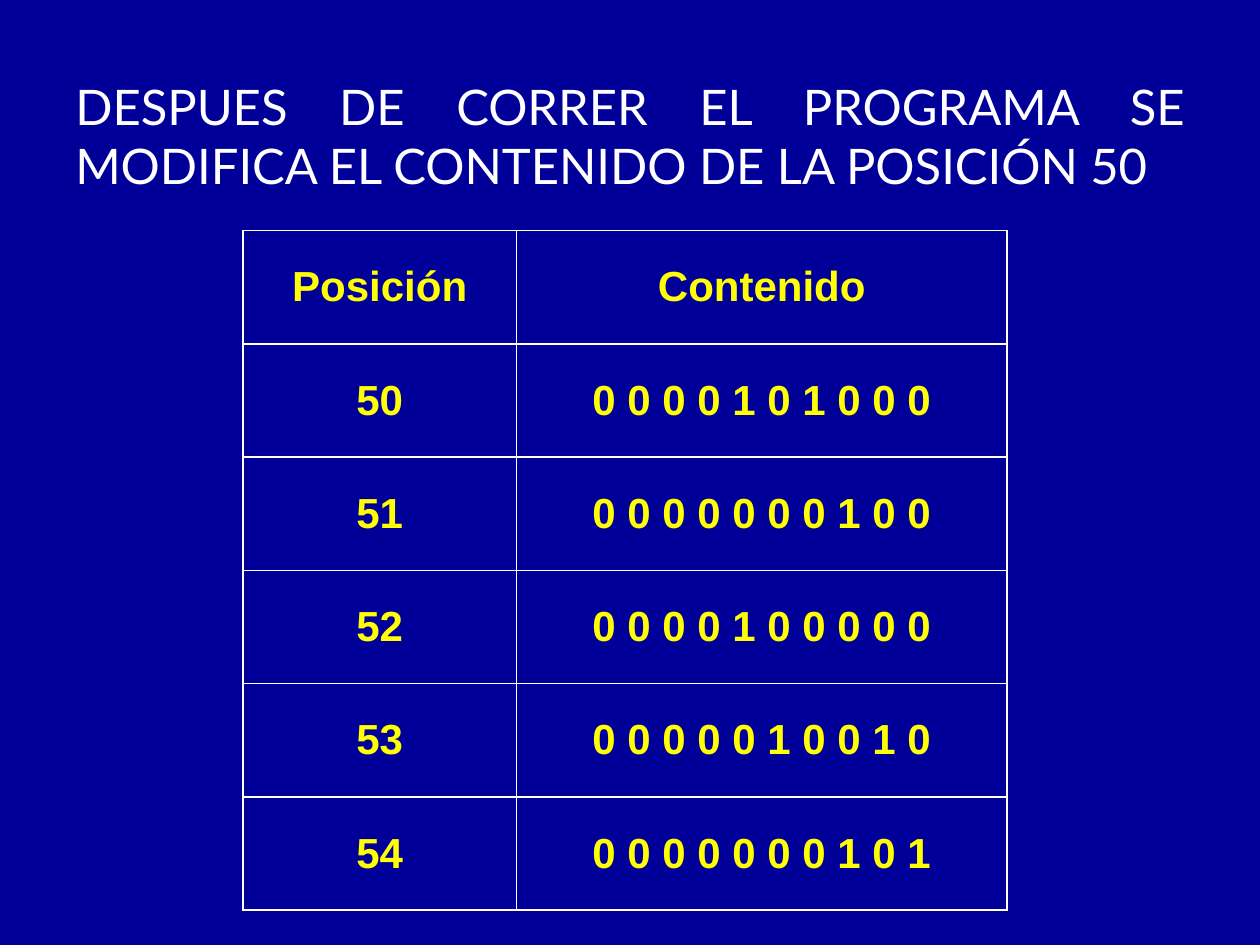
from lxml import etree
from pptx import Presentation
from pptx import util as u
from pptx.dml.color import RGBColor
from pptx.enum import text
from pptx.oxml.ns import qn

NAVY, WHITE, GOLD = "000099", "FFFFFF", "FFFF00"
TITLE = "DESPUES DE CORRER EL PROGRAMA SE MODIFICA EL CONTENIDO DE LA POSICIÓN 50"
ROWS = [
    ("Posición", "Contenido"),
    ("50", "0 0 0 0 1 0 1 0 0 0"),
    ("51", "0 0 0 0 0 0 0 1 0 0"),
    ("52", "0 0 0 0 1 0 0 0 0 0"),
    ("53", "0 0 0 0 0 1 0 0 1 0"),
    ("54", "0 0 0 0 0 0 0 1 0 1"),
]


def paint(fill, color):
    fill.solid()
    fill.fore_color.rgb = RGBColor.from_string(color)


def write(frame, words, font="Arial", size=24, color=GOLD, bold=False, align="CENTER"):
    frame.word_wrap = True
    frame.vertical_anchor = text.MSO_ANCHOR.MIDDLE
    para = frame.paragraphs[0]
    para.alignment = text.PP_ALIGN[align]
    run = para.add_run()
    run.text = words
    run.font.name = font
    run.font.size = u.Pt(size)
    run.font.bold = bold
    run.font.color.rgb = RGBColor.from_string(color)


def border(cell, color, width):
    props = cell._tc.get_or_add_tcPr()
    for i, side in enumerate(("a:lnL", "a:lnR", "a:lnT", "a:lnB")):
        line = etree.Element(qn(side), w=str(u.Pt(width)))
        fill = etree.SubElement(line, qn("a:solidFill"))
        etree.SubElement(fill, qn("a:srgbClr"), val=color)
        props.insert(i, line)


def header(slide, left, top, width, height):
    box = slide.shapes.add_textbox(u.Cm(left), u.Cm(top), u.Cm(width), u.Cm(height))
    write(box.text_frame, TITLE, font="Lato", size=28, color=WHITE, align="JUSTIFY")


def memory(slide, left, top, width, height):
    frame = slide.shapes.add_table(
        len(ROWS), 2, u.Cm(left), u.Cm(top), u.Cm(width), u.Cm(height)
    )
    grid = frame.table
    first = round(width * 0.358, 2)
    for col, size in zip(grid.columns, (first, width - first)):
        col.width = u.Cm(size)
    for r, row in enumerate(ROWS):
        for c, words in enumerate(row):
            cell = grid.cell(r, c)
            paint(cell.fill, NAVY)
            border(cell, WHITE, 1)
            write(cell.text_frame, words, bold=True)
            cell.vertical_anchor = text.MSO_ANCHOR.MIDDLE


def main():
    deck = Presentation()
    deck.slide_width, deck.slide_height = u.Cm(25.4), u.Cm(19.05)
    slide = deck.slides.add_slide(deck.slide_layouts[6])
    paint(slide.background.fill, NAVY)
    header(slide, 1.27, 0.81, 22.86, 3.84)
    memory(slide, 4.9, 4.65, 15.4, 13.7)
    deck.save("out.pptx")


if __name__ == "__main__":
    main()
